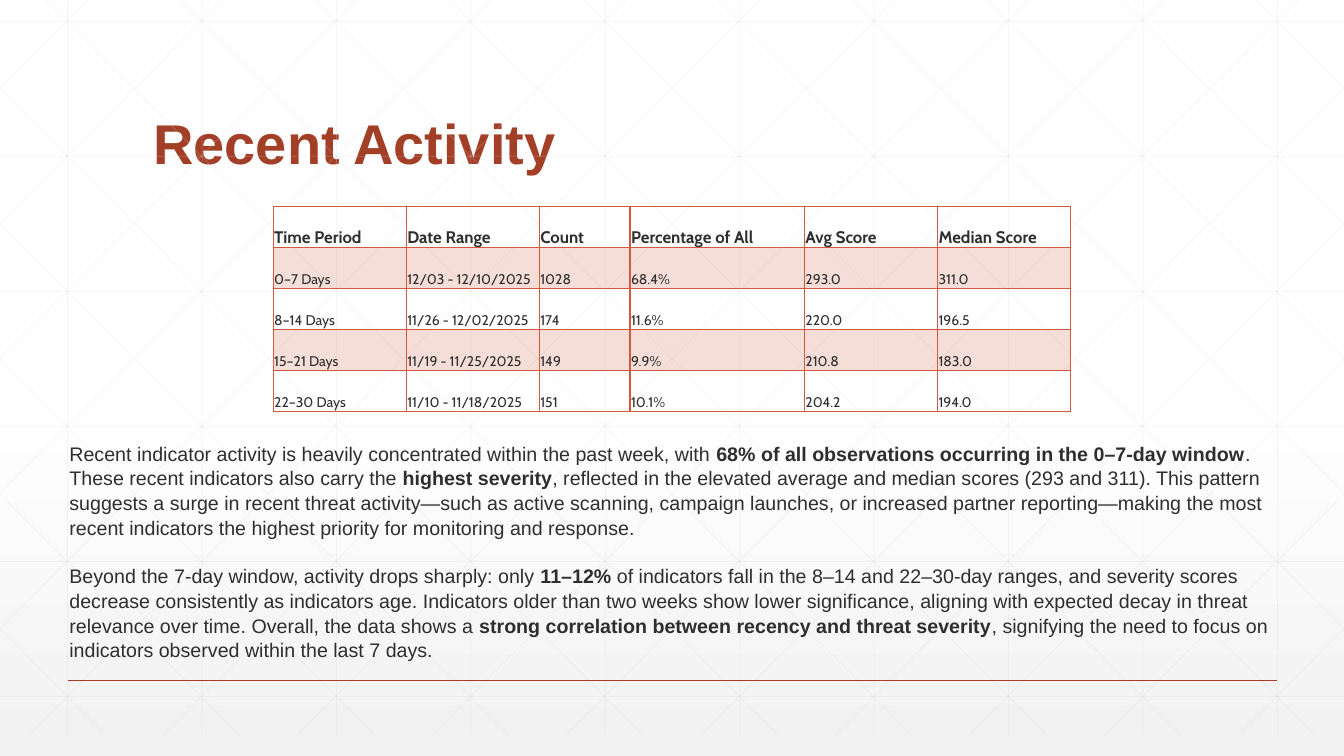
"""Build the Recent Activity slide with its score table and commentary."""
from lxml.etree import SubElement
from pptx import Presentation
from pptx.dml.color import RGBColor
from pptx.enum.shapes import MSO_CONNECTOR as CONN
from pptx.enum.text import MSO_ANCHOR as ANCHOR, PP_ALIGN as ALIGN
from pptx.oxml import parse_xml
from pptx.oxml.ns import nsdecls, qn
from pptx.util import Inches, Pt

RUST, ORANGE, INK, GREY = "A43F27", "D15A3E", "2D2E2D", "D9D9D9"
WIDTH, TOP, BOTTOM = 13.33, -0.21, 7.29
STEP, RUN = 4 / 3, 7.46


def paint(fill, color, alpha=None):
    fill.solid()
    fill.fore_color.rgb = RGBColor.from_string(color)
    if alpha:
        clr = fill._xPr.find(qn("a:solidFill")).find(qn("a:srgbClr"))
        SubElement(clr, qn("a:alpha"), val=str(alpha * 1000))


def add_line(x1, y1, x2, y2, color=GREY, width=0.5, alpha=25):
    ln = s.shapes.add_connector(CONN.STRAIGHT, Inches(x1), Inches(y1), Inches(x2), Inches(y2))
    paint(ln.line.fill, color, alpha)
    ln.line.width = Pt(width)
    SubElement(ln._element.spPr, qn("a:effectLst"))


prs = Presentation()
prs.slide_width, prs.slide_height = Inches(WIDTH), Inches(7.5)
s = prs.slides.add_slide(prs.slide_layouts[5])

bg = s.background.fill
bg.gradient()
bg.gradient_angle = 270
for stop, position, color in zip(bg.gradient_stops, (0.53, 1), ("FFFFFF", "F2F2F2")):
    stop.position = position
    stop.color.rgb = RGBColor.from_string(color)

for i in range(10):
    x = 0.67 + i * STEP
    add_line(x, TOP, x, BOTTOM)
for i in range(6):
    y = 0.21 + i * 1.34
    add_line(0, y, WIDTH, y)
slope = (BOTTOM - TOP) / RUN
for i in range(-5, 10):
    x = 0.25 + i * STEP
    x1, x2 = max(x, 0), min(x + RUN, WIDTH)
    y1, y2 = TOP + (x1 - x) * slope, TOP + (x2 - x) * slope
    add_line(x1, y1, x2, y2)
    add_line(WIDTH - x1, y1, WIDTH - x2, y2)
add_line(0.67, 6.75, 12.67, 6.75, RUST, 1, None)

title = s.shapes.title
title.left, title.top = Inches(1.42), Inches(0.55)
title.width, title.height = Inches(10.5), Inches(1.25)
tf = title.text_frame
tf.text = "Recent Activity"
tf.vertical_anchor = ANCHOR.BOTTOM
p = tf.paragraphs[0]
p.alignment = ALIGN.LEFT
p.line_spacing = 0.9
p.font.name, p.font.size, p.font.bold = "Arial", Pt(40), True
paint(p.font.fill, RUST)

rows = [
    ("Time Period", "Date Range", "Count", "Percentage of All", "Avg Score", "Median Score"),
    ("0–7 Days", "12/03 - 12/10/2025", "1028", "68.4%", "293.0", "311.0"),
    ("8–14 Days", "11/26 - 12/02/2025", "174", "11.6%", "220.0", "196.5"),
    ("15–21 Days", "11/19 - 11/25/2025", "149", "9.9%", "210.8", "183.0"),
    ("22–30 Days", "11/10 - 11/18/2025", "151", "10.1%", "204.2", "194.0"),
]
widths = (1.32, 1.32, 0.9, 1.73, 1.32, 1.32)
table = s.shapes.add_table(len(rows), len(widths), Inches(2.71), Inches(2.05),
                           Inches(sum(widths)), Inches(2.03)).table
table.first_row = table.horz_banding = False
for col, width in zip(table.columns, widths):
    col.width = Inches(width)
for i, row in enumerate(rows):
    for j, text in enumerate(row):
        cell = table.cell(i, j)
        cell.text = text
        cell.vertical_anchor = ANCHOR.BOTTOM
        cell.margin_left = cell.margin_right = cell.margin_top = Inches(0.01)
        cell.margin_bottom = 0
        if i % 2:
            paint(cell.fill, ORANGE, 20)
        else:
            cell.fill.background()
        p = cell.text_frame.paragraphs[0]
        p.font.name, p.font.size, p.font.bold = "Cabin", Pt(10 if i else 12), i == 0
        paint(p.font.fill, INK)
        for k, side in enumerate("LRTB"):
            border = parse_xml(
                f'<a:ln{side} {nsdecls("a")} w="12700"><a:solidFill>'
                f'<a:srgbClr val="{ORANGE}"/></a:solidFill></a:ln{side}>')
            cell._tc.get_or_add_tcPr().insert(k, border)

comments = [
    ("Recent indicator activity is heavily concentrated within the past week, with ",
     "68% of all observations occurring in the 0–7-day window",
     ". These recent indicators also carry the ",
     "highest severity",
     ", reflected in the elevated average and median scores (293 and 311). This pattern "
     "suggests a surge in recent threat activity—such as active scanning, campaign launches, "
     "or increased partner reporting—making the most recent indicators the highest priority "
     "for monitoring and response."),
    ("Beyond the 7-day window, activity drops sharply: only ",
     "11–12%",
     " of indicators fall in the 8–14 and 22–30-day ranges, and severity scores decrease "
     "consistently as indicators age. Indicators older than two weeks show lower significance, "
     "aligning with expected decay in threat relevance over time. Overall, the data shows a ",
     "strong correlation between recency and threat severity",
     ", signifying the need to focus on indicators observed within the last 7 days."),
]
tf = s.shapes.add_textbox(Inches(0.59), Inches(4.32), Inches(12.13), Inches(2.46)).text_frame
tf.word_wrap = True
for i, parts in enumerate(comments):
    p = tf.add_paragraph() if i else tf.paragraphs[0]
    p.line_spacing = 1.05
    if i:
        p.space_before = Pt(17)
    p.font.name, p.font.size = "Arial", Pt(14)
    paint(p.font.fill, INK)
    for j, part in enumerate(parts):
        r = p.add_run()
        r.text = part
        r.font.bold = j % 2 == 1

prs.save("out.pptx")
